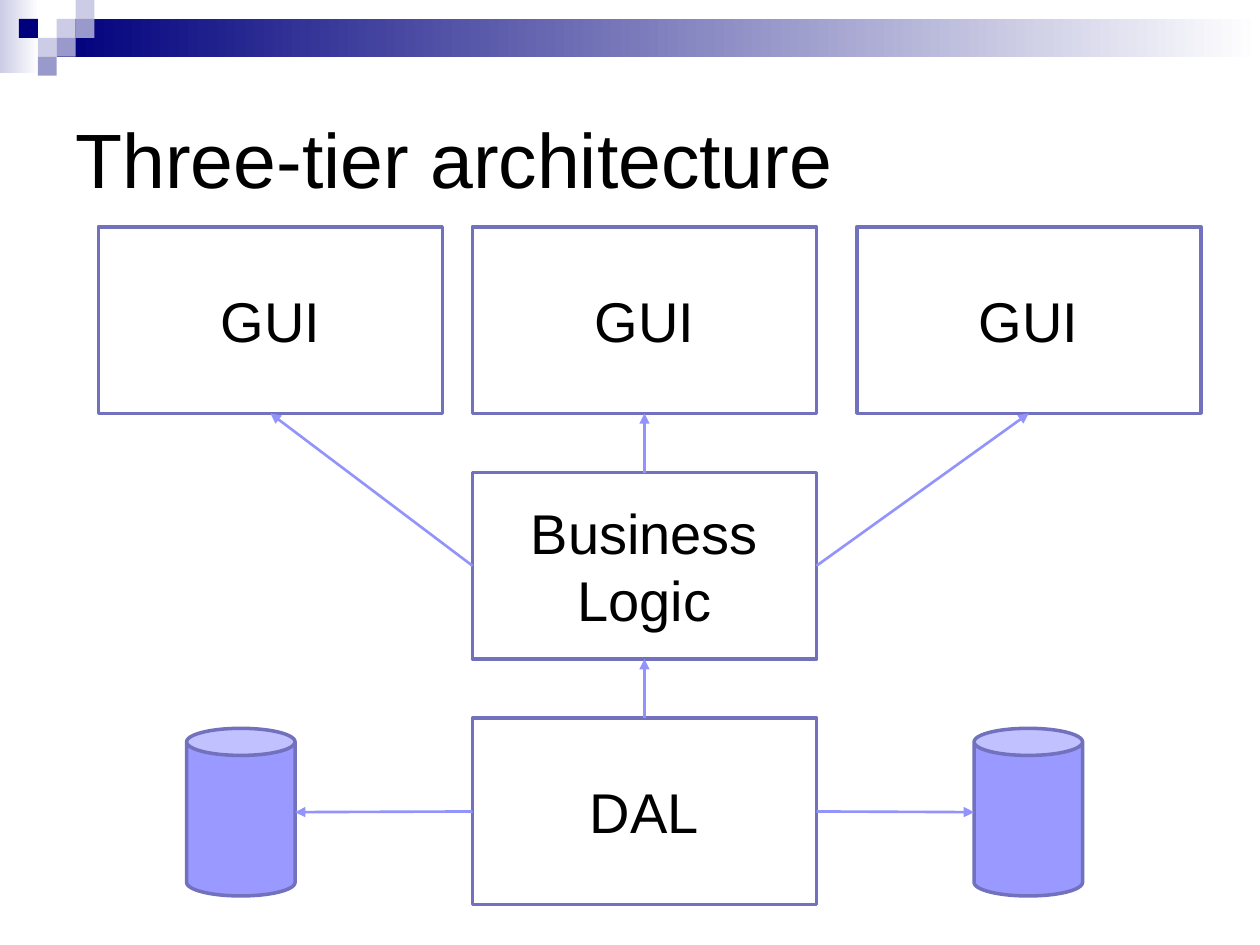
import pptx
import pptx.dml.color
import pptx.enum.shapes
import pptx.enum.text
import pptx.oxml
import pptx.oxml.ns
import pptx.util

Pt = pptx.util.Pt
SHAPES = pptx.enum.shapes.MSO_SHAPE
ANCHOR = pptx.enum.text.MSO_ANCHOR
ALIGN = pptx.enum.text.PP_ALIGN


def color(value):
    return pptx.dml.color.RGBColor.from_string(value)


def add_shape(slide, kind, box, fill=None, line=None):
    shape = slide.shapes.add_shape(kind, *map(Pt, box))
    shape.shadow.inherit = False
    if fill:
        shape.fill.solid()
        shape.fill.fore_color.rgb = color(fill)
    else:
        shape.fill.background()
    if line:
        shape.line.color.rgb = color(line)
        shape.line.width = Pt(2)
    else:
        shape.line.fill.background()
    return shape


def write(shape, text, size, alignment):
    frame = shape.text_frame
    frame.word_wrap = True
    frame.vertical_anchor = ANCHOR.MIDDLE
    frame.text = text
    paragraph = frame.paragraphs[0]
    paragraph.alignment = alignment
    font = paragraph.runs[0].font
    font.name = "Arial"
    font.size = Pt(size)
    font.color.rgb = color("000000")


def add_fade(slide, box, start):
    shape = add_shape(slide, SHAPES.RECTANGLE, box)
    shape.fill.gradient()
    shape.fill.gradient_angle = 0
    for stop, value, position in zip(shape.fill.gradient_stops, (start, "FFFFFF"), (0, 1)):
        stop.color.rgb = color(value)
        stop.position = position


def add_header(slide, left, top, width):
    cell = 10.8
    add_fade(slide, (left, top, 22.3, 41.8), "CCCCE6")
    add_fade(slide, (left + 3 * cell, top + cell, width - 3 * cell, 2 * cell), "00007D")
    squares = {
        "CCCCE6": [(3, 1), (4, 0), (2, 2)],
        "9999CC": [(4, 1), (3, 2), (2, 3)],
        "00007D": [(1, 1)],
    }
    for fill, places in squares.items():
        for column, row in places:
            box = (left + column * cell, top + row * cell, cell, cell)
            add_shape(slide, SHAPES.RECTANGLE, box, fill)


def add_title(slide, box, text):
    title = slide.shapes.add_textbox(*map(Pt, box))
    write(title, text, 44, ALIGN.LEFT)


def add_tier(slide, left, top, text):
    shape = add_shape(slide, SHAPES.RECTANGLE, (left, top, 196.6, 106.6), line="7171BD")
    write(shape, text, 32, ALIGN.CENTER)
    return shape


def side(shape, name):
    across, down = {"top": (0.5, 0), "left": (0, 0.5), "bottom": (0.5, 1), "right": (1, 0.5)}[name]
    return int(shape.left + across * shape.width), int(shape.top + down * shape.height)


def add_arrow(slide, source, source_side, target, target_side):
    arrow = slide.shapes.add_connector(
        pptx.enum.shapes.MSO_CONNECTOR.STRAIGHT,
        *side(source, source_side), *side(target, target_side))
    arrow.line.color.rgb = color("9393FC")
    arrow.line.width = Pt(1.5)
    properties = arrow.element.spPr
    line = properties.find(pptx.oxml.ns.qn("a:ln"))
    line.append(pptx.oxml.parse_xml(
        f'<a:tailEnd {pptx.oxml.ns.nsdecls("a")} type="triangle"/>'))
    properties.append(pptx.oxml.parse_xml(f'<a:effectLst {pptx.oxml.ns.nsdecls("a")}/>'))


def add_architecture(slide, left, top):
    row_step = 140.4
    center = left + 213.8
    guis = [add_tier(slide, x, top, "GUI") for x in (left, center, left + 433.4)]
    logic = add_tier(slide, center, top + row_step, "Business Logic")
    access = add_tier(slide, center, top + 2 * row_step, "DAL")
    stores = [
        add_shape(slide, SHAPES.CAN, (x, top + 2 * row_step + 5.8, 62, 95.8), "9999FF", "7171BD")
        for x in (left + 50.4, left + 500.4)
    ]
    for gui, start in zip(guis, ("left", "top", "right")):
        add_arrow(slide, logic, start, gui, "bottom")
    add_arrow(slide, access, "top", logic, "bottom")
    for store, start, end in zip(stores, ("left", "right"), ("right", "left")):
        add_arrow(slide, access, start, store, end)


presentation = pptx.Presentation()
presentation.slide_width = Pt(720)
presentation.slide_height = Pt(540)
slide = presentation.slides.add_slide(presentation.slide_layouts[6])
add_header(slide, 0, 0, 720)
add_title(slide, (36, 36, 648, 108), "Three-tier architecture")
add_architecture(slide, 56.2, 129.6)
presentation.save("out.pptx")
